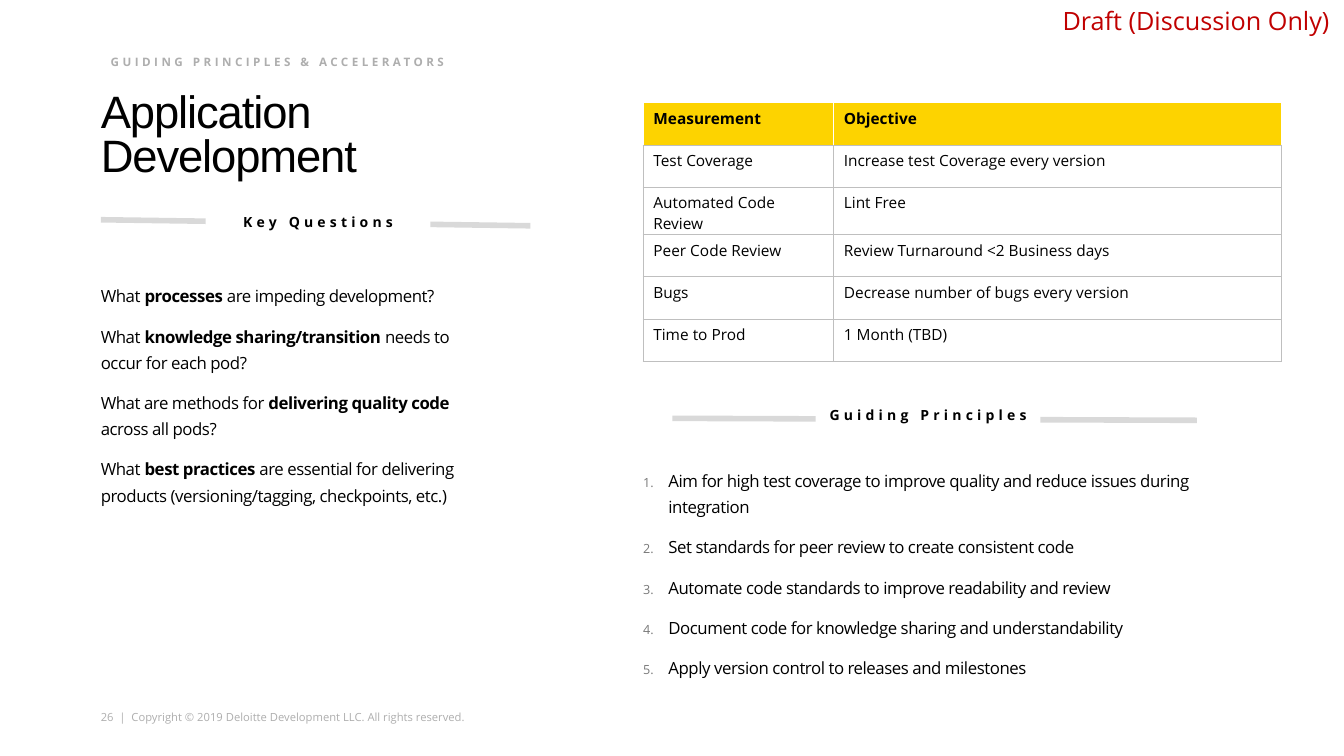
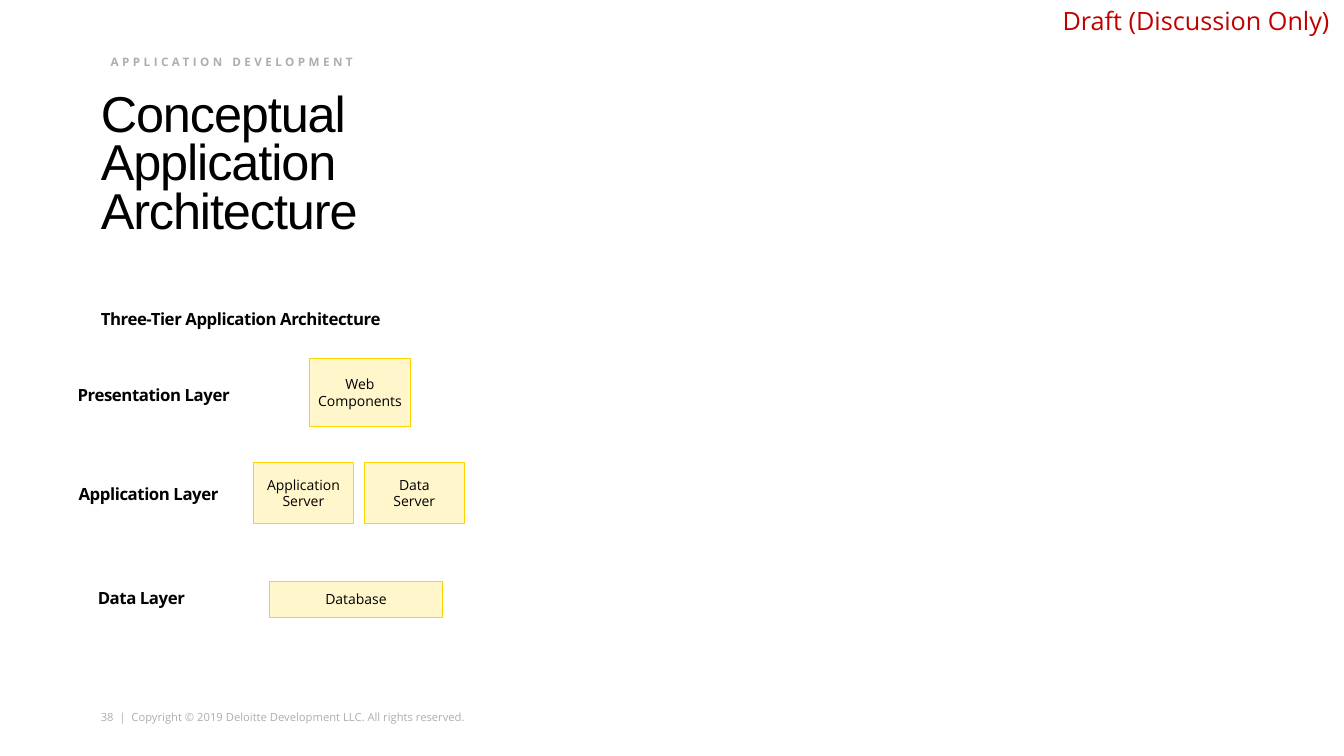
from dataclasses import dataclass

from lxml import etree
from pptx import Presentation
from pptx.dml.color import RGBColor
from pptx.enum.shapes import MSO_CONNECTOR, MSO_SHAPE
from pptx.enum.text import MSO_ANCHOR, PP_ALIGN
from pptx.oxml.ns import qn
from pptx.util import Inches, Pt

RECTANGLE = MSO_SHAPE.RECTANGLE
STRAIGHT = MSO_CONNECTOR.STRAIGHT
CENTER, LEFT = PP_ALIGN.CENTER, PP_ALIGN.LEFT
MIDDLE, TOP = MSO_ANCHOR.MIDDLE, MSO_ANCHOR.TOP

BLACK = RGBColor(0x00, 0x00, 0x00)
WHITE = RGBColor(0xFF, 0xFF, 0xFF)
RED = RGBColor(0xC0, 0x00, 0x00)
YELLOW = RGBColor(0xFD, 0xD3, 0x00)
PALE_YELLOW = RGBColor(0xFF, 0xF6, 0xCC)
MUTED_GRAY = RGBColor(0xAE, 0xAE, 0xAE)
NUMBER_GRAY = RGBColor(0x78, 0x78, 0x78)
RULE_GRAY = RGBColor(0xD9, 0xD9, 0xD9)
BORDER_GRAY = RGBColor(0xBF, 0xBF, 0xBF)

LEFT_MARGIN = 1.0
COLUMN_WIDTH = 3.67
RIGHT_COLUMN = 6.38
NO_INSETS = (0, 0, 0, 0)
DEFAULT_INSETS = (0.1, 0.05, 0.1, 0.05)


@dataclass(frozen=True)
class Box:
    left: float
    top: float
    width: float
    height: float

    def lengths(self) -> tuple:
        return tuple(Inches(v) for v in (self.left, self.top, self.width, self.height))


@dataclass(frozen=True)
class TextStyle:
    size: float
    color: RGBColor = BLACK
    bold: bool = False
    font: str = "Open Sans"
    tracking: float = 0
    line_spacing: float = 1.0
    space_before: float = 0
    align: PP_ALIGN = LEFT


@dataclass(frozen=True)
class Divider:
    """A slightly sloping rule with a label set over its middle."""
    label: str
    start: tuple[float, float]
    end: tuple[float, float]
    label_box: Box


@dataclass(frozen=True)
class Component:
    label: str
    box: Box


@dataclass(frozen=True)
class Layer:
    label: str
    label_box: Box
    components: tuple[Component, ...]


FOOTER = TextStyle(8, MUTED_GRAY)
DRAFT = TextStyle(18, RED)
EYEBROW = TextStyle(8.3, MUTED_GRAY, bold=True, tracking=2.5, line_spacing=0.9)
BODY = TextStyle(12, tracking=-0.3, line_spacing=1.3, space_before=10)
BODY_BOLD = TextStyle(12, bold=True, tracking=-0.3, line_spacing=1.3)
DIVIDER_LABEL = TextStyle(10, bold=True, tracking=3, align=CENTER)
COMPONENT_LABEL = TextStyle(10, align=CENTER)
TABLE_HEADER = TextStyle(11, bold=True)
TABLE_CELL = TextStyle(11)

QUESTIONS = [
    "What *processes* are impeding development?",
    "What *knowledge sharing/transition *needs to occur for each pod?",
    "What are methods for *delivering quality code *across all pods?",
    "What *best practices *are essential for delivering products "
    "(versioning/tagging, checkpoints, etc.)",
]
PRINCIPLES = [
    "Aim for high test coverage to improve quality and reduce issues during integration",
    "Set standards for peer review to create consistent code",
    "Automate code standards to improve readability and review",
    "Document code for knowledge sharing and understandability",
    "Apply version control to releases and milestones",
]
MEASUREMENTS = [
    ("Measurement", "Objective"),
    ("Test Coverage", "Increase test Coverage every version"),
    ("Automated Code Review", "Lint Free"),
    ("Peer Code Review", "Review Turnaround <2 Business days"),
    ("Bugs", "Decrease number of bugs every version"),
    ("Time to Prod", "1 Month (TBD)"),
]
DIVIDERS = [
    Divider("Guiding Principles", (11.87, 4.17), (6.67, 4.15), Box(8.09, 3.98, 2.23, 0.27)),
    Divider("Key Questions", (5.26, 2.24), (1, 2.18), Box(2.04, 2.07, 2.23, 0.27)),
]
LAYERS = [
    Layer("Presentation Layer", Box(0.77, 3.76, 2.05, 0.33),
          (Component("Web Components", Box(3.07, 3.56, 1, 0.67)),)),
    Layer("Application Layer", Box(0.78, 4.74, 1.8, 0.72),
          (Component("Application Server", Box(2.51, 4.59, 1, 0.6)),
           Component("Data\nServer", Box(3.61, 4.59, 1, 0.6)))),
    Layer("Data Layer", Box(0.97, 5.77, 1.33, 0.72),
          (Component("Database", Box(2.67, 5.77, 1.72, 0.35)),)),
]


def add_number(paragraph) -> None:
    properties = paragraph._p.get_or_add_pPr()
    properties.set("marL", str(Inches(0.25)))
    properties.set("indent", str(-Inches(0.25)))
    color = etree.SubElement(properties, qn("a:buClr"))
    etree.SubElement(color, qn("a:srgbClr"), val=str(NUMBER_GRAY))
    etree.SubElement(properties, qn("a:buSzPct"), val="75000")
    etree.SubElement(properties, qn("a:buAutoNum"), type="arabicPeriod")


def write_text(text_frame, lines: list[str], style: TextStyle, numbered: bool = False) -> None:
    """Write one paragraph per line; parts between asterisks are bold."""
    for index, line in enumerate(lines):
        paragraph = text_frame.add_paragraph() if index else text_frame.paragraphs[0]
        if numbered:
            add_number(paragraph)
        paragraph.alignment = style.align
        paragraph.line_spacing = style.line_spacing
        paragraph.space_before = Pt(style.space_before if index else 0)
        for part, text in enumerate(line.split("*")):
            run = paragraph.add_run()
            run.text = text
            run.font.name = style.font
            run.font.size = Pt(style.size)
            run.font.bold = style.bold or part % 2 == 1
            run.font.color.rgb = style.color
            if style.tracking:
                run._r.get_or_add_rPr().set("spc", str(round(style.tracking * 100)))


def set_frame(text_frame, insets: tuple, anchor: MSO_ANCHOR = TOP, wrap: bool = True) -> None:
    text_frame.word_wrap = wrap
    text_frame.vertical_anchor = anchor
    (text_frame.margin_left, text_frame.margin_top,
     text_frame.margin_right, text_frame.margin_bottom) = (Inches(v) for v in insets)


def add_text(slide, box: Box, lines: list[str], style: TextStyle, insets: tuple = NO_INSETS,
             wrap: bool = True, numbered: bool = False) -> None:
    text_frame = slide.shapes.add_textbox(*box.lengths()).text_frame
    set_frame(text_frame, insets, wrap=wrap)
    write_text(text_frame, lines, style, numbered)


def add_rectangle(slide, box: Box, label: str, style: TextStyle, fill: RGBColor,
                  outline: RGBColor | None = None, insets: tuple = NO_INSETS) -> None:
    shape = slide.shapes.add_shape(RECTANGLE, *box.lengths())
    shape.shadow.inherit = False
    shape.fill.solid()
    shape.fill.fore_color.rgb = fill
    if outline is None:
        shape.line.fill.background()
    else:
        shape.line.color.rgb = outline
        shape.line.width = Pt(0.5)
    set_frame(shape.text_frame, insets, MIDDLE)
    write_text(shape.text_frame, label.split("\n"), style)


def add_divider(slide, divider: Divider) -> None:
    points = (Inches(v) for v in divider.start + divider.end)
    connector = slide.shapes.add_connector(STRAIGHT, *points)
    connector.line.color.rgb = RULE_GRAY
    connector.line.width = Pt(4)
    etree.SubElement(connector._element.spPr, qn("a:effectLst"))
    add_rectangle(slide, divider.label_box, divider.label, DIVIDER_LABEL, WHITE,
                  insets=DEFAULT_INSETS)


def set_borders(cell, colors: dict[str, RGBColor]) -> None:
    properties = cell._tc.get_or_add_tcPr()
    for index, (side, color) in enumerate(colors.items()):
        line = etree.Element(qn(f"a:{side}"), w=str(Pt(1)))
        fill = etree.SubElement(line, qn("a:solidFill"))
        etree.SubElement(fill, qn("a:srgbClr"), val=str(color))
        properties.insert(index, line)


def add_measurement_table(slide) -> None:
    box = Box(RIGHT_COLUMN, 1.02, 6.33, 2.52)
    table = slide.shapes.add_table(len(MEASUREMENTS), 2, *box.lengths()).table
    table.first_row = table.horz_banding = False
    for column, width in zip(table.columns, (1.89, 4.44)):
        column.width = Inches(width)
    for row_index, texts in enumerate(MEASUREMENTS):
        is_header = row_index == 0
        table.rows[row_index].height = Inches(0.42)
        side_color = WHITE if is_header else BORDER_GRAY
        borders = {"lnL": side_color, "lnR": side_color, "lnT": side_color, "lnB": BORDER_GRAY}
        if row_index == 1:
            borders["lnT"] = BORDER_GRAY
        for column_index, text in enumerate(texts):
            cell = table.cell(row_index, column_index)
            cell.fill.solid()
            cell.fill.fore_color.rgb = YELLOW if is_header else WHITE
            set_borders(cell, borders)
            write_text(cell.text_frame, [text], TABLE_HEADER if is_header else TABLE_CELL)


def add_base_slide(presentation, number: int, eyebrow: str, title: str,
                   title_size: float, title_height: float):
    """Add a slide with the footer, draft mark, eyebrow and title that all slides share."""
    slide = presentation.slides.add_slide(presentation.slide_layouts[6])
    footer = f"{number}  |  Copyright © 2019 Deloitte Development LLC. All rights reserved."
    add_text(slide, Box(LEFT_MARGIN, 7.05, 3.66, 0.13), [footer], FOOTER, wrap=False)
    add_text(slide, Box(10.44, 0, 2.9, 0.4), ["Draft (Discussion Only)"], DRAFT, DEFAULT_INSETS)
    title_style = TextStyle(title_size, font="Arial", tracking=-0.8, line_spacing=0.8)
    add_text(slide, Box(LEFT_MARGIN, 0.88, COLUMN_WIDTH, title_height), [title],
             title_style, (0, 0.05, 0, 0))
    add_text(slide, Box(LEFT_MARGIN, 0.51, COLUMN_WIDTH, 0.22), [eyebrow], EYEBROW,
             DEFAULT_INSETS)
    return slide


def add_development_slide(presentation) -> None:
    slide = add_base_slide(presentation, 26, "GUIDING PRINCIPLES & ACCELERATORS",
                           "Application Development", 32.4, 0.94)
    add_text(slide, Box(LEFT_MARGIN, 2.78, COLUMN_WIDTH, 2.9), QUESTIONS, BODY)
    add_measurement_table(slide)
    add_text(slide, Box(RIGHT_COLUMN, 4.61, 6.16, 2.6), PRINCIPLES, BODY, numbered=True)
    for divider in DIVIDERS:
        add_divider(slide, divider)


def add_architecture_slide(presentation) -> None:
    slide = add_base_slide(presentation, 38, "APPLICATION DEVELOPMENT",
                           "Conceptual Application Architecture", 36, 2.18)
    add_text(slide, Box(LEFT_MARGIN, 3, COLUMN_WIDTH, 0.3),
             ["Three-Tier Application Architecture"], BODY_BOLD)
    for layer in LAYERS:
        add_text(slide, layer.label_box, [layer.label], BODY_BOLD)
        for component in layer.components:
            add_rectangle(slide, component.box, component.label, COMPONENT_LABEL,
                          PALE_YELLOW, YELLOW)


def main() -> None:
    presentation = Presentation()
    presentation.slide_width = Inches(13.33)
    presentation.slide_height = Inches(7.5)
    add_development_slide(presentation)
    add_architecture_slide(presentation)
    presentation.save("out.pptx")


if __name__ == "__main__":
    main()
